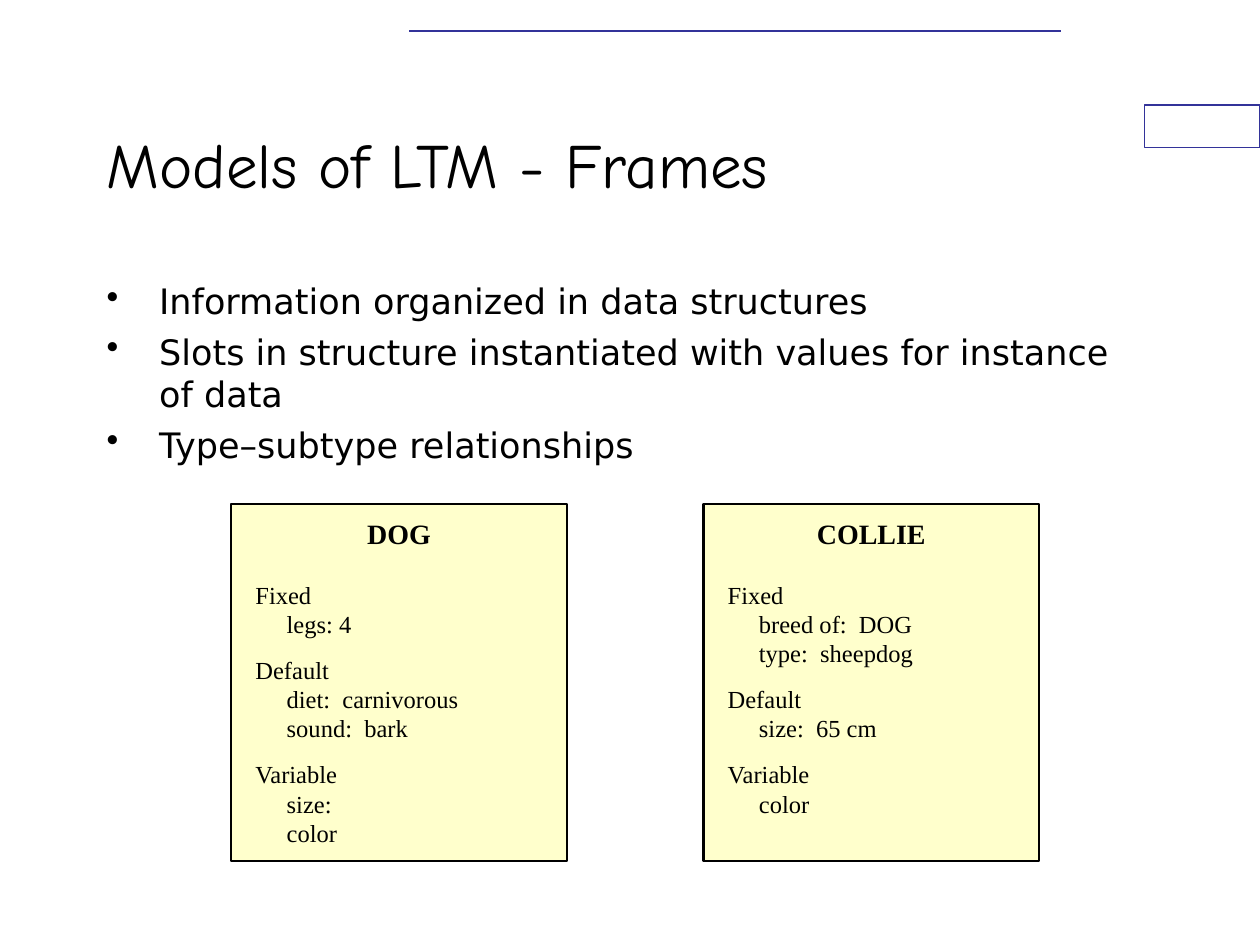
from dataclasses import dataclass

from lxml import etree
from pptx import Presentation
from pptx.dml.color import RGBColor
from pptx.enum.shapes import MSO_CONNECTOR, MSO_SHAPE
from pptx.enum.text import MSO_ANCHOR, PP_ALIGN
from pptx.oxml.ns import qn
from pptx.util import Cm, Pt

RECTANGLE = MSO_SHAPE.RECTANGLE
STRAIGHT = MSO_CONNECTOR.STRAIGHT
TOP, MIDDLE = MSO_ANCHOR.TOP, MSO_ANCHOR.MIDDLE
LEFT, CENTER = PP_ALIGN.LEFT, PP_ALIGN.CENTER


@dataclass(frozen=True)
class Theme:
    ink: RGBColor = RGBColor(0, 0, 0)
    paper: RGBColor = RGBColor(255, 255, 255)
    accent: RGBColor = RGBColor(0x33, 0x33, 0x99)
    frame_fill: RGBColor = RGBColor(0xFF, 0xFF, 0xCC)
    title_font: str = "Comic Neue"
    body_font: str = "DejaVu Sans"
    frame_font: str = "Times New Roman"
    title_size: Pt = Pt(36)
    body_size: Pt = Pt(20)
    frame_title_size: Pt = Pt(16)
    frame_size: Pt = Pt(14)


THEME = Theme()

BULLETS = [
    "Information organized in data structures",
    "Slots in structure instantiated with values for instance of data",
    "Type–subtype relationships",
]

FRAMES = {
    "DOG": {
        "Fixed": ["legs: 4"],
        "Default": ["diet:  carnivorous", "sound:  bark"],
        "Variable": ["size:", "color"],
    },
    "COLLIE": {
        "Fixed": ["breed of:  DOG", "type:  sheepdog"],
        "Default": ["size:  65 cm"],
        "Variable": ["color"],
    },
}

TITLE_FORMAT = {"name": THEME.title_font, "size": THEME.title_size}
BODY_FORMAT = {"name": THEME.body_font, "size": THEME.body_size}
FRAME_TITLE_FORMAT = {
    "name": THEME.frame_font, "size": THEME.frame_title_size, "bold": True,
}
FRAME_FORMAT = {"name": THEME.frame_font, "size": THEME.frame_size, "bold": False}

HEADING_INDENT = Cm(0.24)
SLOT_INDENT = Cm(0.87)
BULLET_INDENT = Cm(1.06)


def set_attributes(target, values):
    for name, value in values.items():
        setattr(target, name, value)


def set_frame(text_frame, anchor, top=Cm(0.13)):
    set_attributes(text_frame, {
        "word_wrap": True, "vertical_anchor": anchor,
        "margin_left": Cm(0.25), "margin_right": Cm(0.25),
        "margin_top": top, "margin_bottom": Cm(0.13),
    })


def add_paragraph(text_frame, text, font, layout, indent=0, bullet=None):
    """Write into the empty first paragraph, or append a new one."""
    first = text_frame.paragraphs[0]
    paragraph = text_frame.add_paragraph() if first.runs else first
    properties = paragraph._p.get_or_add_pPr()
    properties.set("marL", str(indent))
    properties.set("indent", str(-indent if bullet else 0))
    if bullet:
        etree.SubElement(properties, qn("a:buChar")).set("char", bullet)
    set_attributes(paragraph, {"alignment": LEFT, **layout})
    run = paragraph.add_run()
    run.text = text
    set_attributes(run.font, font)
    run.font.color.rgb = THEME.ink


def add_text_box(slide, left, top, width, height, anchor):
    text_frame = slide.shapes.add_textbox(left, top, width, height).text_frame
    set_frame(text_frame, anchor)
    return text_frame


def add_rectangle(slide, left, top, width, height, fill, line, line_width):
    shape = slide.shapes.add_shape(RECTANGLE, left, top, width, height)
    shape.shadow.inherit = False
    shape.fill.solid()
    shape.fill.fore_color.rgb = fill
    shape.line.color.rgb = line
    shape.line.width = line_width
    return shape


def add_rule(slide, left, right, top):
    rule = slide.shapes.add_connector(STRAIGHT, left, top, right, top)
    rule.line.color.rgb = THEME.accent
    rule.line.width = Pt(1)
    etree.SubElement(rule._element.spPr, qn("a:effectLst"))


def add_bullets(slide):
    text_frame = add_text_box(slide, Cm(1.9), Cm(5.51), Cm(21.6), Cm(4.44), TOP)
    for index, text in enumerate(BULLETS):
        layout = {"line_spacing": Pt(24), "space_before": Pt(5 if index else 0)}
        add_paragraph(text_frame, text, BODY_FORMAT, layout, BULLET_INDENT, "•")


def add_knowledge_frame(slide, left, name, groups):
    """Draw a box with a centred name and its slots grouped under headings."""
    box = add_rectangle(slide, left, Cm(10.16), Cm(6.77), Cm(7.2),
                        THEME.frame_fill, THEME.ink, Pt(1.5))
    text_frame = box.text_frame
    set_frame(text_frame, TOP, Cm(0.26))
    add_paragraph(text_frame, name, FRAME_TITLE_FORMAT,
                  {"alignment": CENTER, "line_spacing": Pt(19)})
    line = {"line_spacing": Pt(16.75)}
    gap = Pt(17)
    for heading, slots in groups.items():
        add_paragraph(text_frame, heading, FRAME_FORMAT,
                      {**line, "space_before": gap}, HEADING_INDENT)
        for slot in slots:
            add_paragraph(text_frame, slot, FRAME_FORMAT, line, SLOT_INDENT)
        gap = Pt(9.4)


def main():
    presentation = Presentation()
    presentation.slide_width, presentation.slide_height = Cm(25.4), Cm(19.05)
    slide = presentation.slides.add_slide(presentation.slide_layouts[6])
    add_rectangle(slide, Cm(23.07), Cm(2.12), Cm(2.33), Cm(0.85),
                  THEME.paper, THEME.accent, Pt(0.75))
    add_rule(slide, Cm(8.25), Cm(21.38), Cm(0.63))
    title = add_text_box(slide, Cm(1.9), Cm(1.7), Cm(19.05), Cm(3.18), MIDDLE)
    add_paragraph(title, "Models of LTM - Frames", TITLE_FORMAT, {})
    add_bullets(slide)
    for index, (name, groups) in enumerate(FRAMES.items()):
        left = Cm(4.66 + index * 9.52)
        add_knowledge_frame(slide, left, name, groups)
    presentation.save("out.pptx")


if __name__ == "__main__":
    main()
